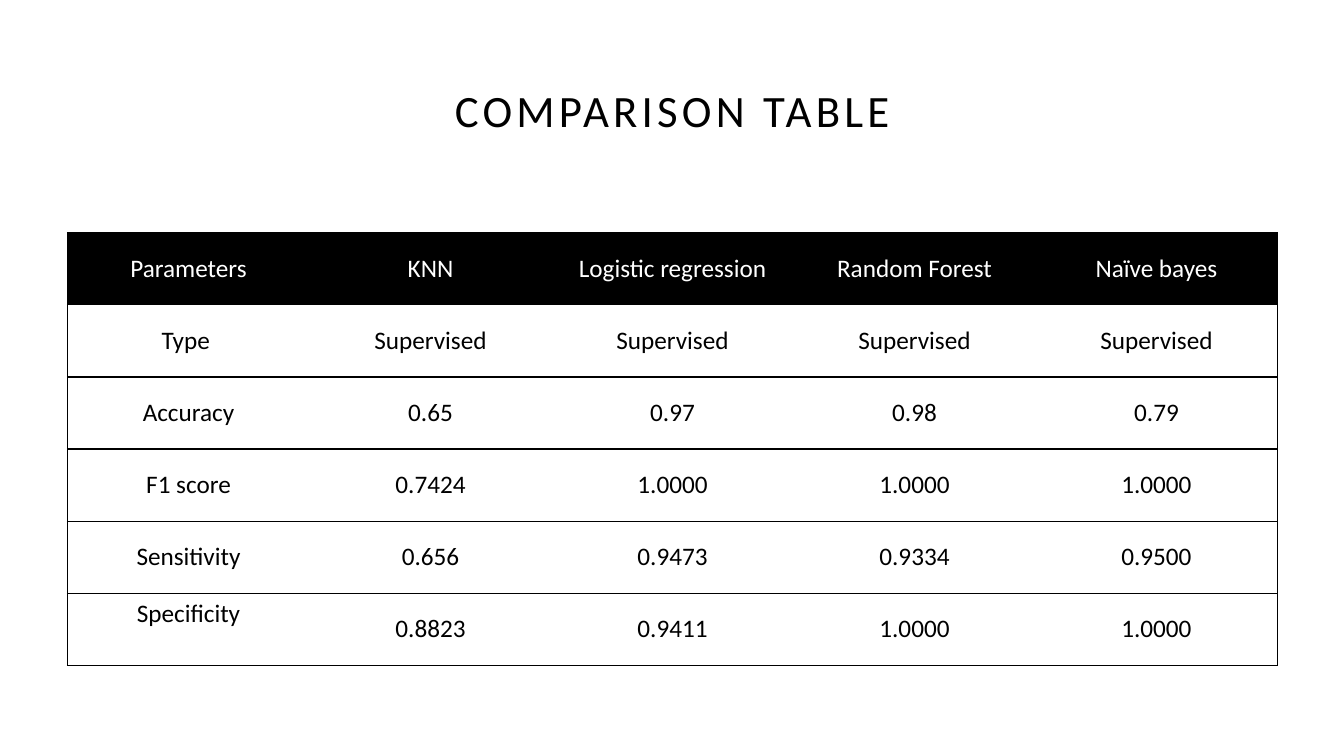
from dataclasses import dataclass

from lxml import etree
from pptx import Presentation
from pptx import util as u
from pptx.dml.color import RGBColor
from pptx.enum import text
from pptx.oxml import ns


@dataclass(frozen=True)
class Theme:
    font: str = "Calibri"
    ink: RGBColor = RGBColor(0, 0, 0)
    paper: RGBColor = RGBColor(255, 255, 255)
    title_size: int = 32
    cell_size: int = 18
    tracking: int = 3
    rule: int = 1


THEME = Theme()
PAGE_WIDTH, PAGE_HEIGHT = u.Inches(13.33), u.Inches(7.5)
TITLE_BOX = [u.Inches(side) for side in (0.92, 0.4, 11.5, 1.45)]
TABLE_BOX = [u.Inches(side) for side in (0.67, 2.31, 12, 4.29)]

RESULTS = [
    ["Parameters", "KNN", "Logistic regression", "Random Forest", "Naïve bayes"],
    ["Type ", "Supervised", "Supervised", "Supervised", "Supervised"],
    ["Accuracy", "0.65", "0.97", "0.98", "0.79"],
    ["F1 score", "0.7424", "1.0000", "1.0000", "1.0000"],
    ["Sensitivity", "0.656", "0.9473", "0.9334", "0.9500"],
    ["Specificity", "0.8823", "0.9411", "1.0000", "1.0000"],
]


def write(frame, words, size, color):
    """Put one centred line of text in a frame and return its run."""
    para = frame.paragraphs[0]
    para.alignment = text.PP_ALIGN.CENTER
    span = para.add_run()
    span.text = words
    formats = {"name": THEME.font, "size": u.Pt(size), "bold": False}
    for name, value in formats.items():
        setattr(span.font, name, value)
    span.font.color.rgb = color
    return span


def add_title(page, box, words):
    frame = page.shapes.add_textbox(*box).text_frame
    frame.word_wrap = True
    frame.vertical_anchor = text.MSO_ANCHOR.MIDDLE
    span = write(frame, words, THEME.title_size, THEME.ink)
    span._r.get_or_add_rPr().set("spc", str(THEME.tracking * 100))
    frame.paragraphs[0].line_spacing = 0.9


def set_borders(cell, visible):
    """Rule the visible sides of a cell and clear the others."""
    properties = cell._tc.get_or_add_tcPr()
    for side in "LRTB":
        line = etree.SubElement(properties, ns.qn(f"a:ln{side}"), w=str(u.Pt(THEME.rule)))
        if side in visible:
            fill = etree.SubElement(line, ns.qn("a:solidFill"))
            etree.SubElement(fill, ns.qn("a:srgbClr"), val=str(THEME.ink))
        else:
            etree.SubElement(line, ns.qn("a:noFill"))


def add_results_table(page, box, rows):
    last_row, last_column = len(rows) - 1, len(rows[0]) - 1
    table = page.shapes.add_table(len(rows), len(rows[0]), *box).table
    table.horz_banding = False
    for r, values in enumerate(rows):
        for c, value in enumerate(values):
            cell = table.cell(r, c)
            ends = {0: "L", last_column: "R"}
            set_borders(cell, "TB" + ends.get(c, ""))
            background, color = (THEME.paper, THEME.ink) if r else (THEME.ink, THEME.paper)
            cell.fill.solid()
            cell.fill.fore_color.rgb = background
            raised = (r, c) == (last_row, 0)
            cell.vertical_anchor = text.MSO_ANCHOR.TOP if raised else text.MSO_ANCHOR.MIDDLE
            write(cell.text_frame, value, THEME.cell_size, color)


def main():
    deck = Presentation()
    deck.slide_width, deck.slide_height = PAGE_WIDTH, PAGE_HEIGHT
    page = deck.slides.add_slide(deck.slide_layouts[6])
    add_title(page, TITLE_BOX, "COMPARISON TABLE")
    add_results_table(page, TABLE_BOX, RESULTS)
    deck.save("out.pptx")


if __name__ == "__main__":
    main()
